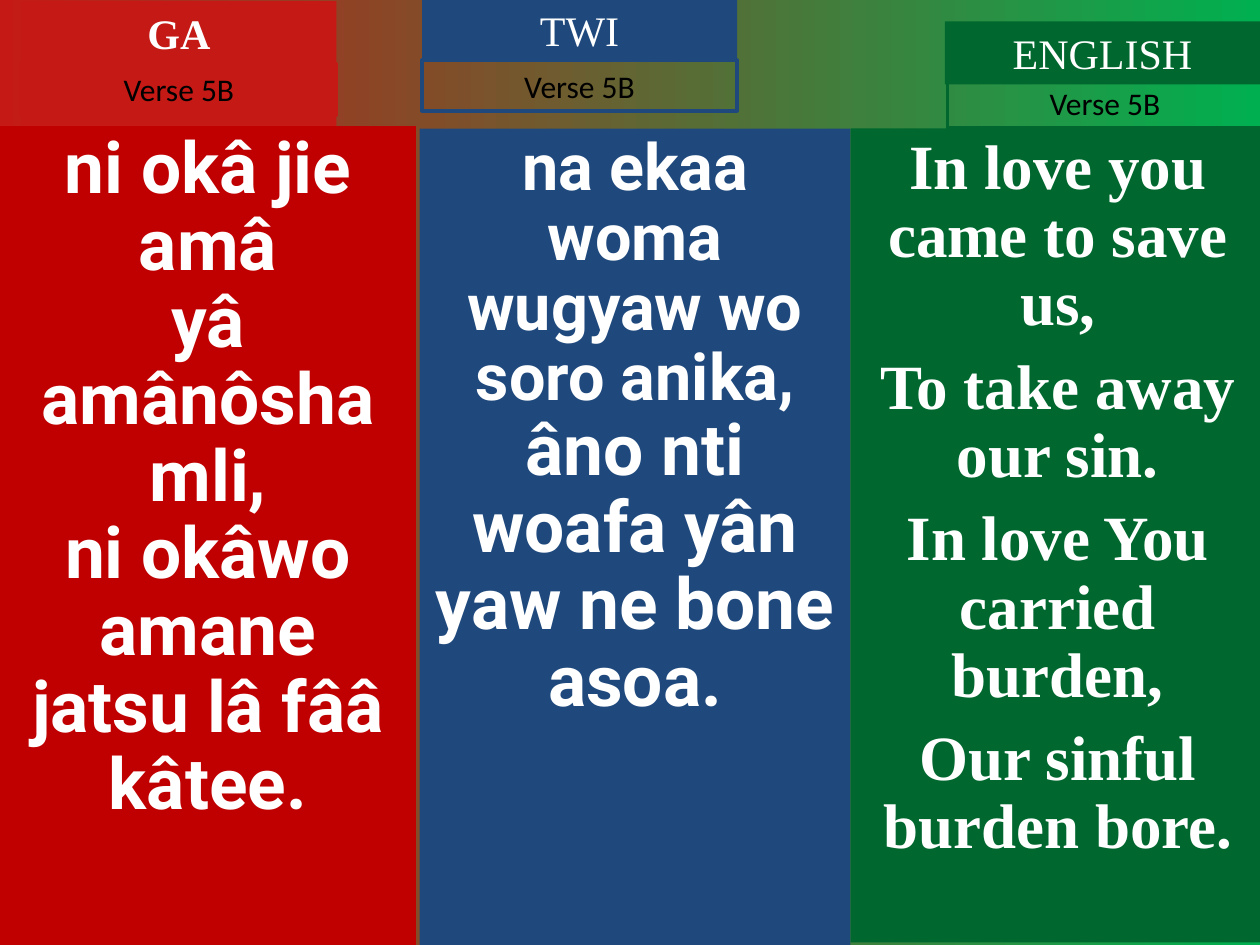
from dataclasses import dataclass

from pptx import Presentation
from pptx.dml.color import RGBColor
from pptx.enum.shapes import MSO_SHAPE
from pptx.enum.text import MSO_ANCHOR, MSO_AUTO_SIZE, PP_ALIGN
from pptx.oxml.xmlchemy import OxmlElement
from pptx.util import Inches, Pt


@dataclass(frozen=True)
class Theme:
    """Colours, fonts and type sizes of the hymn slide."""
    ga: str = "C00000"
    ga_heading: str = "C51915"
    twi: str = "1F497D"
    english: str = "00682F"
    glow: str = "00B050"
    light: str = "FFFFFF"
    dark: str = "000000"
    lyric_font: str = "Roboto"
    serif_font: str = "Times New Roman"
    verse_font: str = "Calibri"
    lyric_size: float = 40.7
    lyric_small: float = 37
    english_size: float = 36
    heading_size: float = 24
    verse_size: float = 18
    frame_width: float = 2.25


class HymnSlide:
    """Holds the theme and the current slide, and draws each kind of element."""

    def __init__(self, deck, theme):
        """Add a slide with a title and two body placeholders."""
        self.theme = theme
        self.page = deck.slides.add_slide(deck.slide_layouts.get_by_name("Two Content"))
        self.title, self.left_body, self.middle_body = self.page.placeholders

    def background(self, start, end):
        """Fill the page with a left-to-right gradient."""
        fill = self.page.background.fill
        fill.gradient()
        fill.gradient_angle = 0
        for stop, colour in zip(fill.gradient_stops, (start, end)):
            stop.color.rgb = RGBColor.from_string(colour)

    def rectangle(self):
        """Add a plain rectangle without a shadow."""
        box = self.page.shapes.add_shape(MSO_SHAPE.RECTANGLE, 0, 0, 0, 0)
        box.shadow.inherit = False
        return box

    def place(self, box, left, top, width, height, fill=None, line=None):
        """Position a box and set its fill and outline."""
        box.left, box.top = Inches(left), Inches(top)
        box.width, box.height = Inches(width), Inches(height)
        if fill:
            box.fill.solid()
            box.fill.fore_color.rgb = RGBColor.from_string(fill)
        else:
            box.fill.background()
        if line:
            box.line.color.rgb = RGBColor.from_string(line)
            box.line.width = Pt(self.theme.frame_width)
        else:
            box.line.fill.background()

    def add_text(self, box, lines, font, colour, bold=False, spacing=1.0, before=0, grow=False):
        """Add centred paragraphs given as pairs of text and size."""
        frame = box.text_frame
        frame.word_wrap = True
        frame.vertical_anchor = MSO_ANCHOR.TOP
        frame.auto_size = MSO_AUTO_SIZE.SHAPE_TO_FIT_TEXT if grow else MSO_AUTO_SIZE.NONE
        for index, (text, size) in enumerate(lines):
            para = frame.add_paragraph() if index else frame.paragraphs[0]
            para.alignment = PP_ALIGN.CENTER
            para.line_spacing = spacing
            para.space_before = Pt(before if index else 0)
            if box.is_placeholder:
                properties = para._p.get_or_add_pPr()
                properties.set("marL", "0")
                properties.set("indent", "0")
                properties.append(OxmlElement("a:buNone"))
            span = para.add_run()
            span.text = text
            span.font.name, span.font.size, span.font.bold = font, Pt(size), bold
            span.font.color.rgb = RGBColor.from_string(colour)

    def column(self, box, place, fill, lines, font, before=0):
        """Draw one full-height column of lyrics."""
        self.place(box, *place, fill=fill)
        self.add_text(box, lines, font, self.theme.light, bold=True, spacing=0.9, before=before)

    def heading(self, box, left, top, fill, text, bold=False):
        """Draw the name of a language on its colour."""
        theme = self.theme
        self.place(box, left, top, 2.5, 0.5, fill=fill)
        self.add_text(box, [(text, theme.heading_size)], theme.serif_font, theme.light, bold, grow=True)

    def verse(self, left, top, line):
        """Draw the framed verse number under a heading."""
        theme = self.theme
        box = self.rectangle()
        self.place(box, left, top, 2.5, 0.4, line=line)
        self.add_text(box, [("Verse 5B", theme.verse_size)], theme.verse_font, theme.dark, grow=True)


def main():
    """Build the three-language hymn slide."""
    theme = Theme()
    deck = Presentation()
    deck.slide_width, deck.slide_height = Inches(10), Inches(7.5)
    hymn = HymnSlide(deck, theme)
    hymn.background(theme.ga_heading, theme.glow)

    ga_lines = ("ni okâ jie amâ", "yâ amânôsha mli,", "ni okâwo amane jatsu lâ fââ kâtee.")
    hymn.column(hymn.left_body, (0, 1, 3.3, 6.5), theme.ga,
                [(text, theme.lyric_size) for text in ga_lines], theme.lyric_font)
    hymn.column(hymn.middle_body, (3.33, 1.02, 3.42, 6.48), theme.twi,
                [("na ekaa woma wugyaw wo soro anika,", theme.lyric_small),
                 ("âno nti woafa yân yaw ne bone asoa.", theme.lyric_size)], theme.lyric_font)
    english_lines = ("In love you came to save us,", "To take away our sin.",
                     "In love You carried burden,", "Our sinful burden bore.")
    hymn.column(hymn.rectangle(), (6.75, 1.02, 3.29, 6.46), theme.english,
                [(text, theme.english_size) for text in english_lines], theme.serif_font, before=9)

    hymn.heading(hymn.title, 0.17, 0.01, theme.ga_heading, "GA", bold=True)
    hymn.heading(hymn.rectangle(), 3.35, -0.01, theme.twi, "TWI")
    hymn.heading(hymn.rectangle(), 7.5, 0.17, theme.english, "ENGLISH")
    hymn.verse(0.17, 0.51, theme.ga_heading)
    hymn.verse(3.35, 0.48, theme.twi)
    hymn.verse(7.52, 0.62, theme.english)
    deck.save("out.pptx")


if __name__ == "__main__":
    main()
